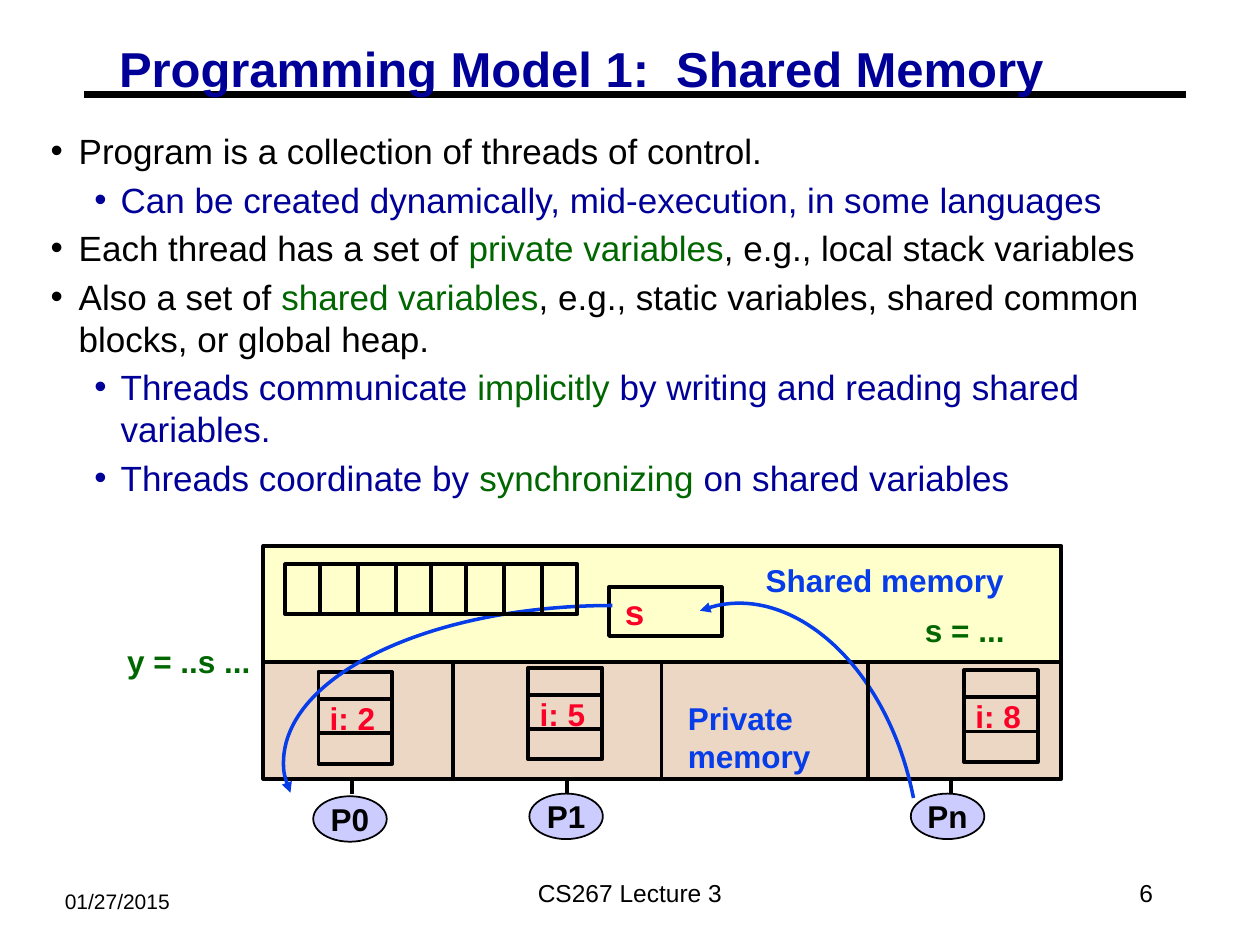
"""Build the slide on shared memory as a programming model."""
from lxml import etree
from pptx import Presentation
from pptx import util as u
from pptx.dml import color
from pptx.enum import shapes, text
from pptx.oxml import ns

Pt = u.Pt
colour = color.RGBColor.from_string
BLACK, NAVY, GREEN, BLUE, RED = "000000", "000099", "006600", "063DE8", "FC0128"
LEFT, CENTER, RIGHT = text.PP_ALIGN.LEFT, text.PP_ALIGN.CENTER, text.PP_ALIGN.RIGHT
TOP, MIDDLE = text.MSO_ANCHOR.TOP, text.MSO_ANCHOR.MIDDLE

presentation = Presentation()
presentation.slide_width, presentation.slide_height = Pt(720), Pt(540)
slide = presentation.slides.add_slide(presentation.slide_layouts[6])


def draw_box(kind, box, fill=None, weight=2.25):
    shape = slide.shapes.add_shape(kind, *map(Pt, box))
    shape.shadow.inherit = False
    if fill:
        shape.fill.solid()
        shape.fill.fore_color.rgb = colour(fill)
    else:
        shape.fill.background()
    shape.line.color.rgb = colour(BLACK)
    shape.line.width = Pt(weight)
    return shape


def write(shape, paragraphs, size, bold=False, align=LEFT, anchor=TOP, wrap=False, inset=(7.2, 3.6)):
    frame = shape.text_frame
    frame.word_wrap = wrap
    frame.vertical_anchor = anchor
    frame.margin_left = frame.margin_right = Pt(inset[0])
    frame.margin_top = frame.margin_bottom = Pt(inset[1])
    for index, runs in enumerate(paragraphs):
        paragraph = frame.add_paragraph() if index else frame.paragraphs[0]
        paragraph.alignment = align
        for words, ink in runs:
            run = paragraph.add_run()
            run.text = words
            run.font.name = "Arial"
            run.font.size = Pt(size)
            run.font.bold = bold
            run.font.color.rgb = colour(ink)
    return frame


rule = slide.shapes.add_connector(shapes.MSO_CONNECTOR.STRAIGHT, Pt(48), Pt(54), Pt(678), Pt(54))
rule.line.color.rgb = colour(BLACK)
rule.line.width = Pt(3.75)
etree.SubElement(rule._element.spPr, ns.qn("a:effectLst"))

title = slide.shapes.add_textbox(Pt(63), Pt(24), Pt(539), Pt(33))
frame = write(title, [[("Programming Model 1:  Shared Memory", NAVY)]], 28, bold=True, wrap=True, inset=(5, 2.5))
frame.paragraphs[0].line_spacing = 0.87

footers = [
    ((30, 504, 138, 22), "01/27/2015", 12, LEFT, TOP),
    ((246, 492, 228, 36), "CS267 Lecture 3", 14, CENTER, MIDDLE),
    ((516, 492, 150, 36), "6", 14, RIGHT, MIDDLE),
]
for box, words, size, align, anchor in footers:
    footer = slide.shapes.add_textbox(*map(Pt, box))
    write(footer, [[(words, BLACK)]], size, align=align, anchor=anchor, wrap=True)

bullets = [
    (0, [("Program is a collection of threads of control.", BLACK)]),
    (1, [("Can be created dynamically, mid-execution, in some languages", NAVY)]),
    (0, [("Each thread has a set of ", BLACK), ("private variables", GREEN),
         (", e.g., local stack variables", BLACK)]),
    (0, [("Also a set of ", BLACK), ("shared variables", GREEN),
         (", e.g., static variables, shared common blocks, or global heap.", BLACK)]),
    (1, [("Threads communicate ", NAVY), ("implicitly", GREEN),
         (" by writing and reading shared variables.", NAVY)]),
    (1, [("Threads coordinate by ", NAVY), ("synchronizing ", GREEN), ("on shared variables", NAVY)]),
]
body = slide.shapes.add_textbox(Pt(24), Pt(71.7), Pt(659.5), Pt(214.5))
frame = write(body, [runs for level, runs in bullets], 20, wrap=True, inset=(5, 2.5))
for index, (paragraph, (level, runs)) in enumerate(zip(frame.paragraphs, bullets)):
    paragraph.level = level
    paragraph.space_before = Pt(3.7 if index else 0)
    properties = paragraph._p.get_or_add_pPr()
    properties.set("marL", str(Pt((16, 40)[level])))
    properties.set("indent", str(-Pt((16, 15)[level])))
    bullet_colour = etree.SubElement(properties, ns.qn("a:buClr"))
    etree.SubElement(bullet_colour, ns.qn("a:srgbClr"), val=(BLACK, NAVY)[level])
    etree.SubElement(properties, ns.qn("a:buFont"), typeface="Arial")
    etree.SubElement(properties, ns.qn("a:buChar"), char="•")
    paragraph.font.size = Pt(20)

RECTANGLE, OVAL = shapes.MSO_SHAPE.RECTANGLE, shapes.MSO_SHAPE.OVAL
draw_box(RECTANGLE, (150.5, 312, 456, 66.5), "FFFFCC")
draw_box(RECTANGLE, (150.5, 378.5, 456, 66.5), "EBD7C3")
variable = draw_box(RECTANGLE, (348, 335.5, 64.5, 28), weight=2)
write(variable, [[("s", RED)]], 20, bold=True, anchor=MIDDLE, inset=(9, 3.6))

lines = [(x, 378.5, x, 445) for x in (259, 378, 496)]
threads = [
    ("P0", (179, 455), "i: 2", (182, 384), 201),
    ("P1", (302.5, 453.5), "i: 5", (302, 381.5), 324),
    ("Pn", (520.5, 453.5), "i: 8", (551, 383), 543.5),
]
for name, (left, top), value, (stack_left, stack_top), stem in threads:
    processor = draw_box(OVAL, (left, top, 42, 26), "CCCCFF", 1)
    write(processor, [[(name, BLACK)]], 18, bold=True, align=CENTER, anchor=MIDDLE)
    draw_box(RECTANGLE, (stack_left, stack_top, 42, 52.5))
    label = slide.shapes.add_textbox(Pt(stack_left - 0.7), Pt(stack_top + 12), Pt(42), Pt(29))
    write(label, [[(value, RED)]], 18, bold=True)
    lines += [(stack_left, stack_top + drop, stack_left + 42, stack_top + drop) for drop in (15.5, 35)]
    lines.append((stem, 445, stem, 454))

labels = [
    ((521.5, 345.5, 72, 29), "s = ...", GREEN),
    ((65.5, 363.5, 85, 29), "y = ..s ...", GREEN),
    ((430.5, 317, 160, 29), "Shared memory", BLUE),
    ((386, 396, 96, 50), "Private memory", BLUE),
]
for box, words, ink in labels:
    label = slide.shapes.add_textbox(*map(Pt, box))
    write(label, [[(words, ink)]], 18, bold=True, wrap=True)

arrows = [
    [(165.5, 453), (163.5, 447.5), (162.5, 442), (162.5, 436.5),
     (162.5, 386), (246, 345.5), (350, 345.5)],
    [(399.5, 349), (403, 347.5), (406.5, 347), (410, 346.5),
     (457, 336), (507.5, 384), (522.5, 456.5)],
]
for start, *controls in arrows:
    builder = slide.shapes.build_freeform(*start, scale=Pt(1))
    builder.add_line_segments(controls, close=False)
    arrow = builder.convert_to_shape()
    arrow.shadow.inherit = False
    arrow.fill.background()
    arrow.line.color.rgb = colour(BLUE)
    arrow.line.width = Pt(2)
    etree.SubElement(arrow.line._get_or_add_ln(), ns.qn("a:headEnd"), type="triangle")
    outline = next(arrow._element.iter(ns.qn("a:path")))
    for index, segment in enumerate(outline.findall(ns.qn("a:lnTo"))):
        if index % 3 == 0:
            curve = etree.SubElement(outline, ns.qn("a:cubicBezTo"))
        curve.append(segment[0])
        outline.remove(segment)

for left in (163, 246.5):
    draw_box(RECTANGLE, (left, 322.5, 83.5, 28.5))
    lines += [(left + 20 + 21.6 * step, 322.5, left + 20 + 21.6 * step, 351) for step in range(3)]

for ends in lines:
    line = slide.shapes.add_connector(shapes.MSO_CONNECTOR.STRAIGHT, *map(Pt, ends))
    line.line.color.rgb = colour(BLACK)
    line.line.width = Pt(2.25)
    etree.SubElement(line._element.spPr, ns.qn("a:effectLst"))

presentation.save("out.pptx")
